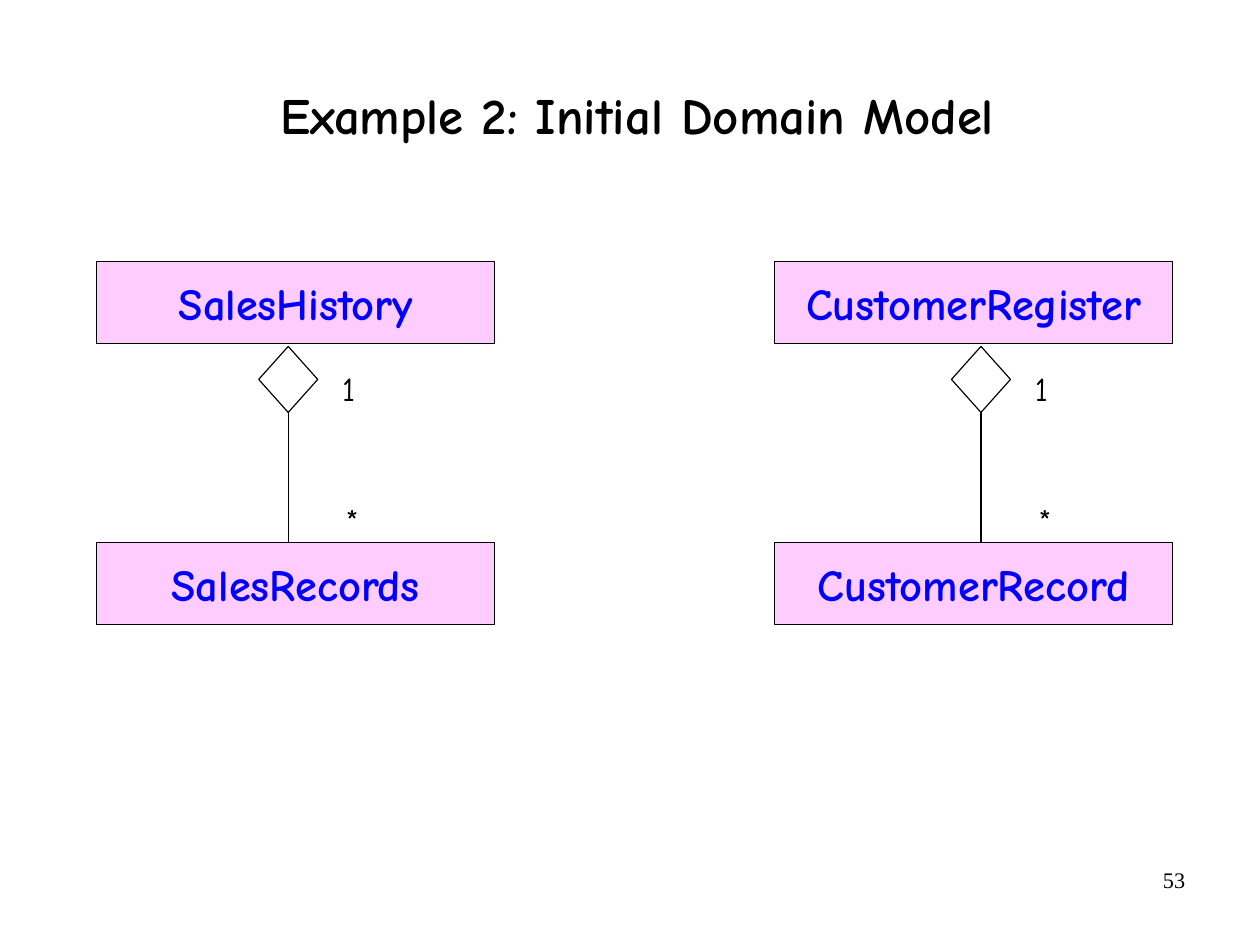
"""Build the initial domain model slide with two aggregation diagrams."""
from lxml.etree import SubElement
from pptx import Presentation
from pptx.dml.color import RGBColor
from pptx.enum.shapes import MSO_CONNECTOR, MSO_SHAPE
from pptx.enum.text import MSO_ANCHOR, MSO_AUTO_SIZE, PP_ALIGN
from pptx.oxml.ns import qn
from pptx.util import Pt

TITLE = "Example 2: Initial Domain Model"
PAGE_NUMBER = "53"
AGGREGATIONS = [
    {"whole": "SalesHistory", "part": "SalesRecords", "left": 61, "axis": 181.6},
    {"whole": "CustomerRegister", "part": "CustomerRecord", "left": 488, "axis": 618},
]
MULTIPLICITIES = [("1", 26, 227.5), ("*", 28.2, 310.8)]

COLORS = {"ink": "000000", "class_fill": "FFCCFF", "class_name": "0000FF"}
FONT = "Comic Neue"
NUMBER_FONT = "Times New Roman"
SLIDE_WIDTH, SLIDE_HEIGHT = 793.75, 595.25
CLASS_WIDTH, CLASS_HEIGHT = 250.6, 51.8
WHOLE_TOP, PART_TOP = 164.7, 341.8
DIAMOND_TOP, DIAMOND_WIDTH, DIAMOND_HEIGHT = 218.2, 37.2, 41.6
LINE_WIDTH = 0.75


def color(name):
    return RGBColor.from_string(COLORS[name])


def write(shape, text, size, font=FONT, ink="ink", bold=False,
          align=PP_ALIGN.LEFT, anchor=MSO_ANCHOR.TOP, inset=(0, 0), wrap=True):
    frame = shape.text_frame
    frame.word_wrap = wrap
    frame.auto_size = MSO_AUTO_SIZE.NONE
    frame.vertical_anchor = anchor
    frame.margin_left = frame.margin_right = Pt(inset[0])
    frame.margin_top = frame.margin_bottom = Pt(inset[1])
    para = frame.paragraphs[0]
    para.alignment = align
    span = para.add_run()
    span.text = text
    span.font.name = font
    span.font.size = Pt(size)
    span.font.bold = bold
    span.font.color.rgb = color(ink)
    return para


def outline(shape):
    shape.line.color.rgb = color("ink")
    shape.line.width = Pt(LINE_WIDTH)


def add_class(page, name, left, top):
    box = page.shapes.add_shape(MSO_SHAPE.RECTANGLE, Pt(left), Pt(top),
                                Pt(CLASS_WIDTH), Pt(CLASS_HEIGHT))
    box.shadow.inherit = False
    box.fill.solid()
    box.fill.fore_color.rgb = color("class_fill")
    outline(box)
    write(box, name, 28, ink="class_name", bold=True,
          align=PP_ALIGN.CENTER, anchor=MSO_ANCHOR.MIDDLE)


def add_aggregation(page, whole, part, left, axis):
    add_class(page, whole, left, WHOLE_TOP)
    add_class(page, part, left, PART_TOP)

    diamond = page.shapes.add_shape(
        MSO_SHAPE.DIAMOND, Pt(axis - DIAMOND_WIDTH / 2), Pt(DIAMOND_TOP),
        Pt(DIAMOND_WIDTH), Pt(DIAMOND_HEIGHT))
    diamond.shadow.inherit = False
    diamond.fill.background()
    outline(diamond)

    link = page.shapes.add_connector(
        MSO_CONNECTOR.STRAIGHT, Pt(axis), Pt(DIAMOND_TOP + DIAMOND_HEIGHT),
        Pt(axis), Pt(PART_TOP))
    link.begin_connect(diamond, 2)
    outline(link)
    SubElement(link._element.spPr, qn("a:effectLst"))

    for symbol, offset, top in MULTIPLICITIES:
        label = page.shapes.add_textbox(Pt(axis + offset), Pt(top), Pt(26), Pt(33))
        write(label, symbol, 21, inset=(7.9, 4.3), wrap=False)


def main():
    deck = Presentation()
    deck.slide_width, deck.slide_height = Pt(SLIDE_WIDTH), Pt(SLIDE_HEIGHT)
    page = deck.slides.add_slide(deck.slide_layouts[5])

    title = page.shapes.title
    title.left, title.top, title.width, title.height = Pt(64.3), Pt(22.6), Pt(674.6), Pt(102.2)
    para = write(title, TITLE, 32, bold=True, align=PP_ALIGN.CENTER,
                 anchor=MSO_ANCHOR.MIDDLE, inset=(1.4, 4.3))
    para.line_spacing = 0.94

    for aggregation in AGGREGATIONS:
        add_aggregation(page, **aggregation)

    number = page.shapes.add_textbox(Pt(568.8), Pt(541.9), Pt(185), Pt(41))
    write(number, PAGE_NUMBER, 14, font=NUMBER_FONT, align=PP_ALIGN.RIGHT, inset=(7.2, 3.6))

    deck.save("out.pptx")


if __name__ == "__main__":
    main()
